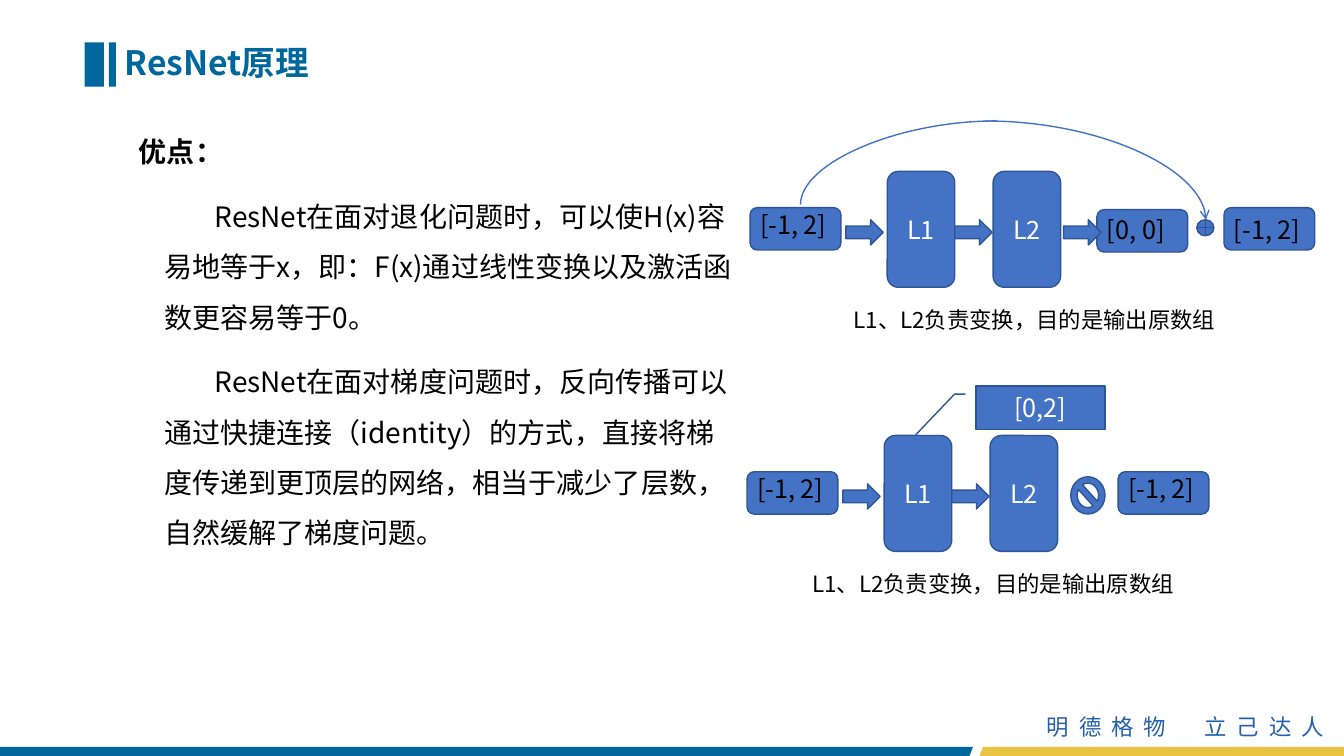
from lxml import etree
from pptx import Presentation
from pptx.dml.color import RGBColor
from pptx.enum.shapes import MSO_CONNECTOR, MSO_SHAPE
from pptx.enum.text import MSO_ANCHOR, PP_ALIGN
from pptx.oxml.ns import qn
from pptx.util import Inches, Pt

RECTANGLE = MSO_SHAPE.RECTANGLE
ROUNDED = MSO_SHAPE.ROUNDED_RECTANGLE
RIGHT_ARROW = MSO_SHAPE.RIGHT_ARROW
SUM_SIGN = MSO_SHAPE.FLOWCHART_OR
NO_SIGN = MSO_SHAPE.NO_SYMBOL
CALLOUT = MSO_SHAPE.LINE_CALLOUT_2
CURVE = MSO_CONNECTOR.CURVE
LEFT, CENTER, RIGHT = PP_ALIGN.LEFT, PP_ALIGN.CENTER, PP_ALIGN.RIGHT
TOP, MIDDLE = MSO_ANCHOR.TOP, MSO_ANCHOR.MIDDLE

FONT = "Noto Sans CJK SC"
TEAL, GOLD, MOTTO_BLUE = "00679C", "EAC342", "2660AD"
BLUE, DARK_BLUE = "4472C4", "2F5597"
BLACK, WHITE = "000000", "FFFFFF"

ADVANTAGES = (
    "ResNet在面对退化问题时，可以使H(x)容易地等于x，即：F(x)通过线性变换以及激活函数更容易等于0。",
    "ResNet在面对梯度问题时，反向传播可以通过快捷连接（identity）的方式，"
    "直接将梯度传递到更顶层的网络，相当于减少了层数，自然缓解了梯度问题。",
)


def color(value):
    return RGBColor.from_string(value)


def add_span(para, text, size, ink, bold=False):
    span = para.add_run()
    span.text = text
    span.font.size = Pt(size)
    span.font.bold = bold
    span.font.color.rgb = color(ink)
    span.font.name = FONT
    east_asian = etree.SubElement(span.font._element, qn("a:ea"))
    east_asian.set("typeface", FONT)
    return span


def add_text(page, left, top, width, height, text, size, ink=BLACK,
             align=LEFT, anchor=TOP, bold=False):
    box = page.shapes.add_textbox(Inches(left), Inches(top), Inches(width), Inches(height))
    frame = box.text_frame
    frame.word_wrap = True
    frame.vertical_anchor = anchor
    para = frame.paragraphs[0]
    para.alignment = align
    add_span(para, text, size, ink, bold)
    return frame


def paint(shape, fill, line=None):
    shape.shadow.inherit = False
    shape.fill.solid()
    shape.fill.fore_color.rgb = color(fill)
    if line:
        shape.line.color.rgb = color(line)
        shape.line.width = Pt(1)
    else:
        shape.line.fill.background()


def add_block(page, kind, left, top, width, height, text="", fill=BLUE, line=DARK_BLUE):
    shape = page.shapes.add_shape(kind, Inches(left), Inches(top), Inches(width), Inches(height))
    paint(shape, fill, line)
    if text:
        shape.text_frame.vertical_anchor = MIDDLE
        para = shape.text_frame.paragraphs[0]
        para.alignment = CENTER
        add_span(para, text, 18, WHITE)


def add_array(page, left, top, text, drop):
    """Rounded box with an array written over it, its text frame shifted by drop."""
    add_block(page, ROUNDED, left, top, 0.9, 0.42)
    add_text(page, left, top + drop, 0.99, 0.4, text, 18)


def add_arc(page, apex, end, arrow=False):
    """Quarter curve that leaves the apex level and reaches the end upright."""
    arc = page.shapes.add_connector(CURVE, *(Inches(value) for value in apex + end))
    arc.line.color.rgb = color(BLUE)
    arc.line.width = Pt(1)
    properties = arc._element.spPr
    properties.find(qn("a:prstGeom")).set("prst", "curvedConnector2")
    if arrow:
        head = etree.SubElement(properties.find(qn("a:ln")), qn("a:tailEnd"))
        head.set("type", "arrow")
    etree.SubElement(properties, qn("a:effectLst"))


def add_footer(page, left, top, width, height):
    right, bottom, slant = left + width, top + height, 0.05
    bands = (
        (TEAL, ((left, top), (9.65, top), (9.65 - slant, bottom), (left, bottom))),
        (GOLD, ((9.75, top), (right, top), (right, bottom), (9.75 - slant, bottom))),
    )
    for fill, corners in bands:
        points = [(Inches(x), Inches(y)) for x, y in corners]
        outline = page.shapes.build_freeform(*points[0])
        outline.add_line_segments(points[1:], close=True)
        paint(outline.convert_to_shape(), fill)
    frame = add_text(page, right - 3.63, top - 0.38, 3.53, 0.37,
                     "明德格物  立己达人", 16, MOTTO_BLUE, RIGHT)
    frame.paragraphs[0].runs[0].font._element.set("spc", "700")


def add_heading(page, left, top, height):
    for offset, width in ((0, 0.19), (0.24, 0.07)):
        add_block(page, RECTANGLE, left + offset, top, width, height, fill=TEAL, line=None)
    frame = add_text(page, left + 0.3, top - 0.15, 8.74, 0.74,
                     "ResNet原理", 24, TEAL, anchor=MIDDLE, bold=True)
    frame.paragraphs[0].line_spacing = 0.9


def add_advantages(page, left, top, width, height):
    frame = add_text(page, left, top, width, height, "优点：", 20, bold=True)
    for advantage in ADVANTAGES:
        para = frame.add_paragraph()
        para.line_spacing = 1.5
        para.space_before = Pt(10)
        indents = para._p.get_or_add_pPr()
        indents.set("marL", str(Inches(0.25)))
        indents.set("indent", str(Inches(0.5)))
        add_span(para, advantage, 20, BLACK)


def add_network(page, left, top, output_left, output_drop, arrow_count, caption_left):
    """Input array, two layers, output array, arrows between them and a caption."""
    array_top = top + 0.36
    add_array(page, left, array_top, "[-1, 2]", -0.03)
    for index, layer in enumerate(("L1", "L2")):
        add_block(page, ROUNDED, left + 1.36 + 1.05 * index, top, 0.67, 1.15, layer)
    add_array(page, left + output_left, array_top, "[-1, 2]", output_drop)
    for index in range(arrow_count):
        add_block(page, RIGHT_ARROW, left + 0.95 + 1.08 * index, top + 0.48, 0.37, 0.25)
    add_text(page, left + caption_left, top + 1.29, 4.44, 0.37,
             "L1、L2负责变换，目的是输出原数组", 16, align=CENTER)


def add_shortcut_network(page, left, top):
    add_array(page, left + 3.44, top + 0.38, "[0, 0]", 0)
    add_network(page, left, top, 4.7, 0.02, 3, 0.6)
    add_block(page, SUM_SIGN, left + 4.43, top + 0.48, 0.17, 0.16)
    add_arc(page, (left + 2.44, top - 0.5), (left + 0.5, top + 0.33))
    add_arc(page, (left + 2.33, top - 0.5), (left + 4.52, top + 0.48), arrow=True)


def add_plain_network(page, left, top):
    add_network(page, left, top, 3.68, -0.03, 2, 0.22)
    add_block(page, NO_SIGN, left + 3.21, top + 0.41, 0.34, 0.37)
    add_block(page, CALLOUT, left + 2.27, top - 0.49, 1.28, 0.43, "[0,2]")


def main():
    deck = Presentation()
    deck.slide_width, deck.slide_height = Inches(13.33), Inches(7.5)
    page = deck.slides.add_slide(deck.slide_layouts[6])
    add_footer(page, 0, 7.41, 13.33, 0.13)
    add_heading(page, 0.84, 0.42, 0.44)
    add_advantages(page, 1.28, 1.29, 6.17, 5.4)
    add_shortcut_network(page, 7.44, 1.7)
    add_plain_network(page, 7.41, 4.32)
    deck.save("out.pptx")


if __name__ == "__main__":
    main()
